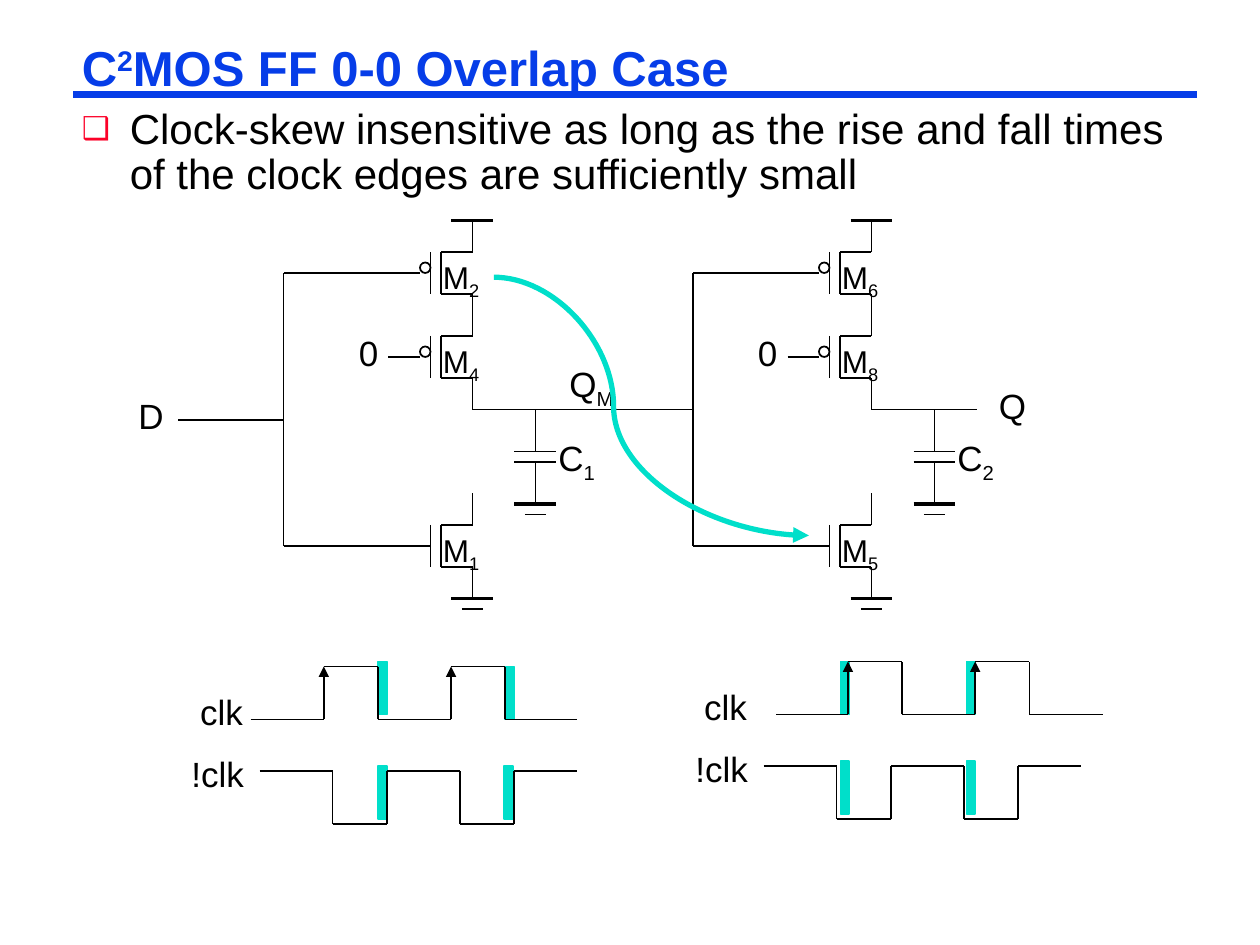
"""Build the clocked latch slide on the zero-zero overlap case."""
import dataclasses

import pptx
import pptx.dml.color
import pptx.enum.shapes
import pptx.enum.text
import pptx.oxml.ns
import pptx.util
from lxml import etree

Inches = pptx.util.Inches
Kind = pptx.enum.shapes.MSO_CONNECTOR
Form = pptx.enum.shapes.MSO_SHAPE
qn = pptx.oxml.ns.qn


@dataclasses.dataclass(frozen=True)
class Theme:
    font: str = "Arial"
    blue: str = "063DE8"
    red: str = "FC0128"
    teal: str = "00DFCA"
    black: str = "000000"
    title: int = 28
    body: int = 24
    label: int = 20
    small: int = 18
    thin: float = 1
    thick: float = 2.25
    curve: float = 3
    rule: float = 4.5


def tint(code):
    return pptx.dml.color.RGBColor.from_string(code)


def apply(item, values):
    for name, value in values.items():
        setattr(item, name, value)


def add(parent, tag, **values):
    return etree.SubElement(parent, qn(tag), values)


class Board:
    def __init__(self, slide, theme):
        self.slide, self.theme = slide, theme
        self.pen = slide.shapes

    def group(self):
        self.pen = self.slide.shapes.add_group_shape().shapes

    def free(self):
        self.pen = self.slide.shapes

    def line(self, start, end, width=None, color=None, kind=Kind.STRAIGHT, arrow=False):
        item = self.pen.add_connector(kind, *map(Inches, (*start, *end)))
        item.line.color.rgb = tint(color or self.theme.black)
        item.line.width = pptx.util.Pt(width or self.theme.thin)
        props = item._element.spPr
        if arrow:
            add(props.find(qn("a:ln")), "a:tailEnd", type="triangle")
        add(props, "a:effectLst")
        return item

    def curve(self, start, end, bend):
        item = self.line(start, end, self.theme.curve, self.theme.teal, Kind.CURVE, True)
        form = item._element.spPr.find(qn("a:prstGeom"))
        guides = form.find(qn("a:avLst"))
        if guides is None:
            guides = add(form, "a:avLst")
        add(guides, "a:gd", name="adj1", fmla=f"val {round(bend * 100000)}")

    def shape(self, form, box, fill=None):
        item = self.pen.add_shape(form, *map(Inches, box))
        item.shadow.inherit = False
        if fill:
            item.fill.solid()
            item.fill.fore_color.rgb = tint(fill)
        else:
            item.fill.background()
        item.line.color.rgb = tint(fill or self.theme.black)
        item.line.width = pptx.util.Pt(self.theme.thin)

    def words(self, frame, parts, size, color=None, bold=False, wrap=False):
        apply(frame, {"word_wrap": wrap,
                      "auto_size": pptx.enum.text.MSO_AUTO_SIZE.SHAPE_TO_FIT_TEXT,
                      "vertical_anchor": pptx.enum.text.MSO_ANCHOR.TOP})
        para = frame.paragraphs[0]
        para.alignment = pptx.enum.text.PP_ALIGN.LEFT
        for text, base in parts:
            run = para.add_run()
            run.text = text
            apply(run.font, {"name": self.theme.font, "size": pptx.util.Pt(size), "bold": bold})
            run.font.color.rgb = tint(color or self.theme.black)
            if base:
                run._r.get_or_add_rPr().set("baseline", str(base * 1000))
        return para

    def label(self, spot, width, text, sub="", size=None):
        size = size or self.theme.label
        height = 0.43 if size == self.theme.label else 0.4
        item = self.pen.add_textbox(*map(Inches, (*spot, width, height)))
        parts = [(text, 0), (sub, -25)] if sub else [(text, 0)]
        self.words(item.text_frame, parts, size)

    def holder(self, item, box, parts, space, **style):
        apply(item, dict(zip(("left", "top", "width", "height"), map(Inches, box))))
        apply(item.text_frame, {"margin_left": Inches(0.07), "margin_right": Inches(0.07),
                                "margin_top": Inches(0.03), "margin_bottom": Inches(0.03)})
        para = self.words(item.text_frame, parts, wrap=True, **style)
        apply(para, {"line_spacing": space, "space_before": pptx.util.Pt(0)})
        return para

    def title(self, parts):
        self.holder(self.slide.shapes.title, (0.58, 0.33, 8.92, 0.46), parts, 0.87,
                    size=self.theme.title, color=self.theme.blue, bold=True)
        rule = self.line((0.58, 0.75), (9.5, 0.75), self.theme.rule, self.theme.blue)
        self.slide.shapes._spTree.insert(2, rule._element)

    def bullet(self, text):
        para = self.holder(self.slide.placeholders[1], (0.58, 0.83, 8.92, 0.77),
                           [(text, 0)], 0.9, size=self.theme.body)
        props = para._p.get_or_add_pPr()
        props.set("marL", str(Inches(0.38)))
        props.set("indent", str(Inches(-0.38)))
        add(add(props, "a:buClr"), "a:srgbClr", val=self.theme.red)
        add(props, "a:buSzPct", val="75000")
        add(props, "a:buChar", char="❑")

    def wire(self, *points, width=None):
        spots = [(x / 12, y / 12) for x, y in points]
        for start, end in zip(spots, spots[1:]):
            self.line(start, end, width)

    def ground(self, x, y):
        self.wire((x - 2, y), (x + 2, y), width=self.theme.thick)
        self.wire((x - 1, y + 1), (x + 1, y + 1))

    def gate(self, x, y, sub, inverse):
        self.group()
        self.wire((x, y), (x, y + 3), (x - 3, y + 3), (x - 3, y + 7), (x, y + 7), (x, y + 10))
        self.wire((x - 4, y + 3), (x - 4, y + 7))
        self.wire((x - 8, y + 5), (x - 5 if inverse else x - 4, y + 5))
        if inverse:
            self.shape(Form.OVAL, ((x - 5) / 12, (y + 4) / 12, 1 / 12, 1 / 12))
        self.free()
        self.label(((x - 4) / 12, (y + 3) / 12), 0.5, "M", sub, self.theme.small)

    def store(self, x, y, sub):
        self.group()
        self.wire((x, y), (x, y + 4))
        for plate in (y + 4, y + 5):
            self.wire((x - 2, plate), (x + 2, plate))
        self.wire((x, y + 5), (x, y + 9))
        self.ground(x, y + 9)
        self.free()
        self.label(((x + 1) / 12, (y + 2) / 12), 0.5, "C", sub)

    def stage(self, x, feed, out, subs, cap):
        for y, sub, inverse in zip((21, 29, 47), subs, (True, True, False)):
            self.gate(x, y, sub, inverse)
        self.wire((x - 2, 21), (x + 2, 21), width=self.theme.thick)
        self.ground(x, 57)
        self.wire((x - 7, 26), (feed, 26), (feed, 52), (x - 7, 52))
        self.wire((x, 39), (out, 39))
        self.store(x + 6, 39, cap)
        self.label(((x - 12) / 12, 31 / 12), 0.36, "0")

    def wave(self, start, edge, end, top, high):
        stops = [start, edge, edge + 0.43, edge + 1.01, edge + 1.44, end]
        low = top + 0.42
        for i, (left, right) in enumerate(zip(stops, stops[1:])):
            level = top if (i % 2 == 0) == high else low
            self.line((left, level), (right, level))
            if i:
                self.line((left, low), (left, top), arrow=not high and i % 2 == 1)

    def clocks(self, left, top, clock, inverse, bars):
        self.group()
        for spot in bars:
            self.shape(Form.RECTANGLE, (*spot, 0.07, 0.42), self.theme.teal)
        self.wave(*clock, top, False)
        self.wave(*inverse, top + 0.83, True)
        self.label((left + 0.07, top + 0.14), 0.54, "clk")
        self.label((left, top + 0.63), 0.62, "!clk")
        self.free()


def main():
    deck = pptx.Presentation()
    apply(deck, {"slide_width": Inches(10), "slide_height": Inches(7.5)})
    board = Board(deck.slides.add_slide(deck.slide_layouts[1]), Theme())
    board.title([("C", 0), ("2", 30), ("MOS FF 0-0 Overlap Case", 0)])
    board.bullet("Clock-skew insensitive as long as the rise and fall times "
                 "of the clock edges are sufficiently small")
    board.stage(45, 27, 66, "241", "1")
    board.stage(83, 66, 93, "685", "2")
    board.wire((17, 40), (27, 40))
    board.label((1, 3.08), 0.4, "D")
    board.label((4.42, 2.83), 0.57, "Q", "M")
    board.label((7.83, 3), 0.42, "Q")
    board.clocks(1.42, 5.29, (1.99, 2.57, 4.58), (2.06, 2.64, 4.58),
                 [(3, 5.25), (4.01, 5.29), (3, 6.08), (4, 6.08)])
    board.curve((3.92, 2.2), (6.42, 4.25), 0.38)
    board.clocks(5.42, 5.25, (6.16, 6.73, 8.75), (6.06, 6.64, 8.58),
                 [(x, y) for x in (6.67, 7.67) for y in (5.25, 6.04)])
    deck.save("out.pptx")


if __name__ == "__main__":
    main()
